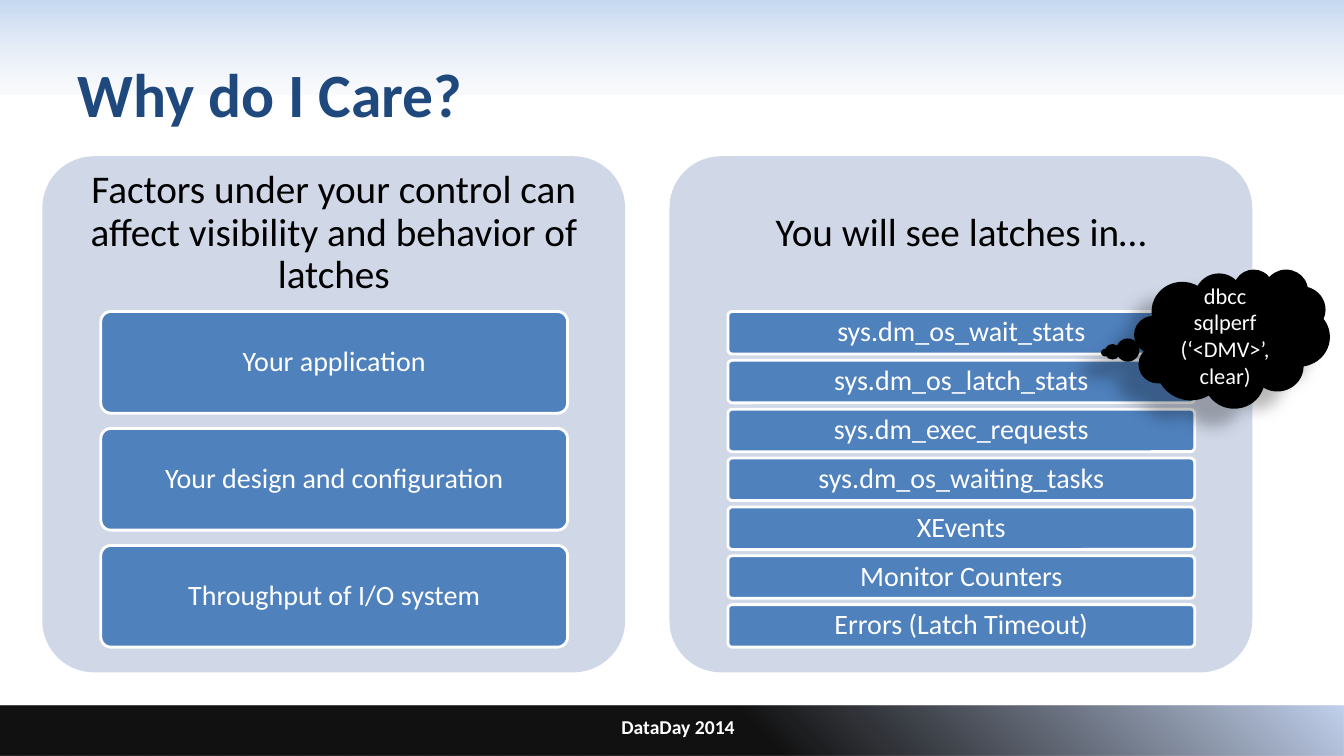
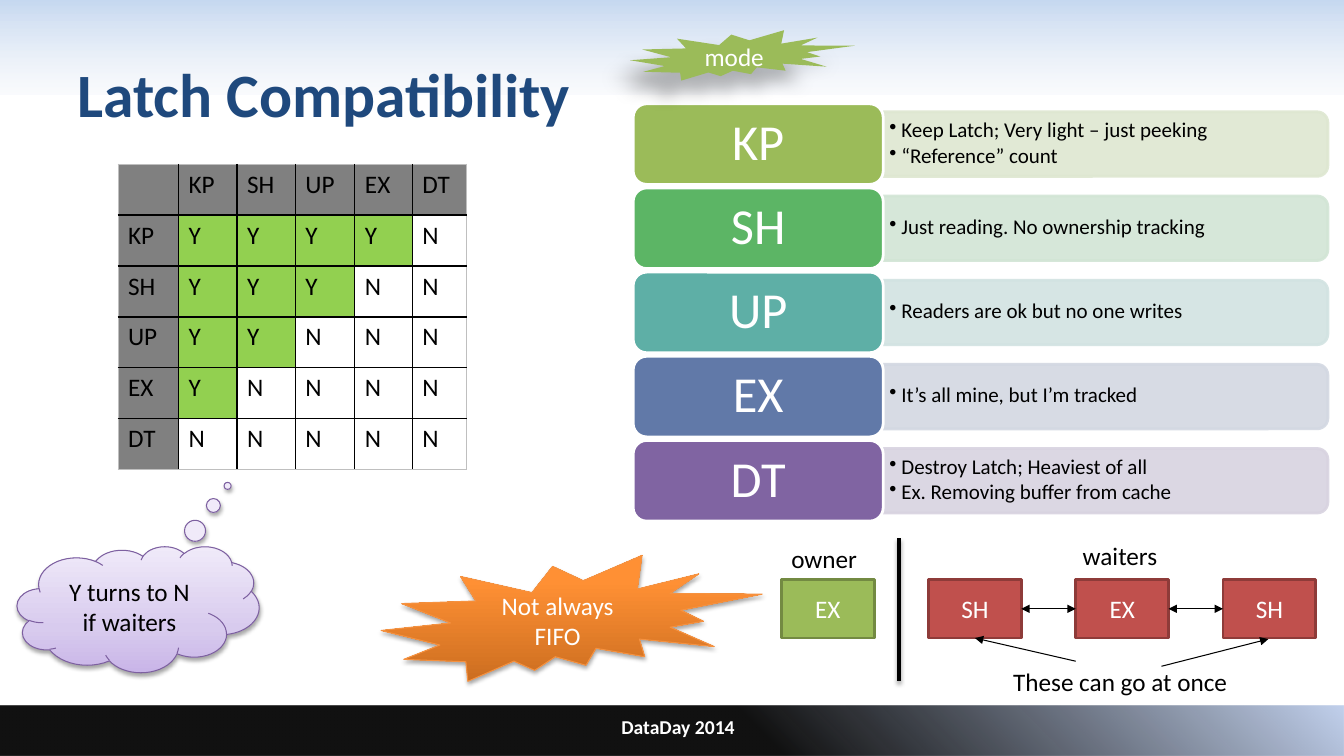
"""Builds two slides on database latches: why they matter and how their modes combine."""
from dataclasses import dataclass

from lxml import etree
from pptx import Presentation
from pptx.dml.color import RGBColor
from pptx.enum.shapes import MSO_CONNECTOR, MSO_SHAPE
from pptx.enum.text import MSO_ANCHOR, PP_ALIGN
from pptx.oxml.ns import qn
from pptx.util import Inches, Pt

RECT, ROUND = MSO_SHAPE.RECTANGLE, MSO_SHAPE.ROUNDED_RECTANGLE
SIDE_ROUND = MSO_SHAPE.ROUND_2_SAME_RECTANGLE
CLOUD, BURST = MSO_SHAPE.CLOUD_CALLOUT, MSO_SHAPE.EXPLOSION2
STRAIGHT = MSO_CONNECTOR.STRAIGHT
LEFT, CENTER = PP_ALIGN.LEFT, PP_ALIGN.CENTER
TOP, MIDDLE = MSO_ANCHOR.TOP, MSO_ANCHOR.MIDDLE


@dataclass(frozen=True)
class Theme:
    """Colours, gradients, shadows and type sizes of the deck."""
    font: str = "Calibri"
    black: str = "000000"
    white: str = "FFFFFF"
    title: str = "1F497D"
    panel: str = "D0D8E8"
    blue: str = "4F81BD"
    green: str = "9BBB59"
    green_edge: str = "738A42"
    red: str = "C0504D"
    red_edge: str = "8E3B39"
    orange_edge: str = "F69240"
    purple_edge: str = "7D60A0"
    table_head: str = "808080"
    table_yes: str = "92D050"
    table_edge: str = "BFBFBF"
    title_size: int = 44
    mode_size: int = 36
    heading_size: int = 28
    item_size: int = 20
    body_size: int = 18
    callout_size: int = 16
    bullet_size: int = 15
    footer_size: int = 14
    top_band: tuple = (90, ((0, "C6D9F1", 100), (100, "E1E8F5", 16)))
    bottom_band: tuple = (315, ((56, "000000", 93), (100, "C2D1ED", 100), (100, "E1E8F5", 16)))
    orange: tuple = (270, ((0, "CC6E20", 100), (80, "FF9034", 100), (100, "FF9136", 100)))
    lilac: tuple = (270, ((0, "C9B5E8", 100), (35, "D8CBEE", 100), (100, "F0EAF9", 100)))
    far_shadow: tuple = (28, 11.8, 19.7, 141)
    near_shadow: tuple = (35, 3.1, 1.8, 90)


THEME = Theme()
FOOTER = "DataDay 2014"

PANELS = [
    (0.42, "Factors under your control can affect visibility and behavior of latches",
     ["Your application", "Your design and configuration", "Throughput of I/O system"]),
    (6.64, "You will see latches in…",
     ["sys.dm_os_wait_stats", "sys.dm_os_latch_stats", "sys.dm_exec_requests",
      "sys.dm_os_waiting_tasks", "XEvents", "Monitor Counters", "Errors (Latch Timeout)"]),
]

MODES = [
    ("KP", "9BBB59", "DEE7D1", ["Keep Latch; Very light – just peeking", "“Reference” count"]),
    ("SH", "5CB565", "D2E5D5", ["Just reading. No ownership tracking"]),
    ("UP", "5EAFA6", "D2E3E2", ["Readers are ok but no one writes"]),
    ("EX", "6179A8", "D3D8E2", ["It’s all mine, but I’m tracked"]),
    ("DT", "8064A2", "D8D3E0", ["Destroy Latch; Heaviest of all", "Ex. Removing buffer from cache"]),
]
COMPATIBLE = ["YYYYN", "YYYNN", "YYNNN", "YNNNN", "NNNNN"]
COLUMN_WIDTHS = [0.6, 0.58, 0.58, 0.59, 0.57, 0.54]

WAITERS = ["SH", "EX", "SH"]
QUEUE_LABELS = [(7.75, 5.34, 0.86, "owner"), (10.64, 5.31, 0.95, "waiters"),
                (9.95, 6.56, 2.35, "These can go at once")]
POINTERS = [((10.67, 6.56), (9.67, 6.33)), ((11.52, 6.61), (12.58, 6.34))]


def rgb(color):
    return RGBColor.from_string(color)


def child(parent, tag, **attributes):
    return etree.SubElement(parent, qn(tag), {key: str(value) for key, value in attributes.items()})


def add_color(parent, color, alpha):
    node = child(parent, "a:srgbClr", val=color)
    if alpha < 100:
        child(node, "a:alpha", val=alpha * 1000)


def set_gradient(shape, gradient):
    angle, stops = gradient
    solid = shape.element.spPr.find(qn("a:solidFill"))
    node = etree.Element(qn("a:gradFill"), rotWithShape="1")
    stop_list = child(node, "a:gsLst")
    for position, color, alpha in stops:
        add_color(child(stop_list, "a:gs", pos=position * 1000), color, alpha)
    child(node, "a:lin", ang=angle * 60000, scaled=0)
    solid.getparent().replace(solid, node)


def set_shadow(effects, shadow):
    alpha, blur, distance, angle = shadow
    node = child(effects, "a:outerShdw", blurRad=Pt(blur), dist=Pt(distance),
                 dir=angle * 60000, algn="ctr", rotWithShape=0)
    add_color(node, THEME.black, alpha)


def write(frame, lines, size, color=THEME.black, bold=False, align=CENTER, anchor=MIDDLE,
          inset=(0.1, 0.05), wrap=True, spacing=None, bullets=False):
    frame.word_wrap = wrap
    frame.vertical_anchor = anchor
    frame.margin_left = frame.margin_right = Inches(inset[0])
    frame.margin_top = frame.margin_bottom = Inches(inset[1])
    for index, line in enumerate(lines):
        para = frame.add_paragraph() if index else frame.paragraphs[0]
        para.alignment = align
        if spacing:
            para.line_spacing = spacing
        if bullets:
            para.space_after = Pt(2)
            properties = para._p.get_or_add_pPr()
            properties.set("marL", str(Inches(0.12)))
            properties.set("indent", str(-Inches(0.12)))
            child(properties, "a:buChar", char="•")
        span = para.add_run()
        span.text = line
        span.font.name = THEME.font
        span.font.size = Pt(size)
        span.font.bold = bold
        span.font.color.rgb = rgb(color)


def add_text(page, at, lines, size, **style):
    box = page.shapes.add_textbox(*map(Inches, at))
    write(box.text_frame, lines, size, **style)


def add_box(page, kind, at, fill, line=None, width=2, adjust=(), shadow=None, alpha=100):
    box = page.shapes.add_shape(kind, *map(Inches, at))
    for index, value in enumerate(adjust):
        box.adjustments[index] = value
    box.fill.solid()
    if isinstance(fill, tuple):
        set_gradient(box, fill)
    else:
        box.fill.fore_color.rgb = rgb(fill)
    if line:
        box.line.color.rgb = rgb(line)
        box.line.width = Pt(width)
    else:
        box.line.fill.background()
    if alpha < 100:
        for node in box.element.spPr.iter(qn("a:srgbClr")):
            child(node, "a:alpha", val=alpha * 1000)
    box.shadow.inherit = False
    if shadow:
        set_shadow(box.element.spPr.find(qn("a:effectLst")), shadow)
    return box


def add_line(page, start, end, width=0.75, ends=(), shadow=None):
    line = page.shapes.add_connector(STRAIGHT, *map(Inches, start + end))
    line.line.color.rgb = rgb(THEME.black)
    line.line.width = Pt(width)
    properties = line.element.spPr
    for tag in ends:
        child(properties.find(qn("a:ln")), tag, type="triangle")
    effects = child(properties, "a:effectLst")
    if shadow:
        set_shadow(effects, shadow)


def start_page(deck, title):
    page = deck.slides.add_slide(deck.slide_layouts[6])
    add_box(page, RECT, (0, 0, 13.33, 0.94), THEME.top_band)
    add_box(page, RECT, (0, 7, 13.33, 0.5), THEME.bottom_band)
    add_text(page, (0.67, 0.3, 12, 1.25), [title], THEME.title_size,
             color=THEME.title, bold=True, align=LEFT)
    add_text(page, (3.78, 7, 5.89, 0.42), [FOOTER], THEME.footer_size,
             color=THEME.white, bold=True)
    return page


def add_panel(page, left, heading, items):
    add_box(page, ROUND, (left, 1.55, 5.78, 5.12), THEME.panel, adjust=[0.1])
    add_text(page, (left, 1.55, 5.78, 1.53), [heading], THEME.heading_size,
             inset=(0.12, 0.12), spacing=0.9)
    gap_share = 0.15
    height = 3.33 / (len(items) + gap_share * (len(items) - 1))
    for index, item in enumerate(items):
        top = 3.09 + index * height * (1 + gap_share)
        box = add_box(page, ROUND, (left + 0.58, top, 4.63, height), THEME.blue,
                      THEME.white, adjust=[0.1])
        write(box.text_frame, [item], THEME.item_size, THEME.white, inset=(0.06, 0.04), spacing=0.9)


def set_borders(cell, row, column, last):
    properties = cell._tc.get_or_add_tcPr()
    outer = [column == 0, column == last, row == 0, row == last]
    for index, (side, is_outer) in enumerate(zip("LRTB", outer)):
        header_rule = (row, side) in ((0, "B"), (1, "T"))
        width = 0.5 if is_outer else 1.5 if header_rule else 1
        border = etree.Element(qn(f"a:ln{side}"), w=str(Pt(width)))
        add_color(child(border, "a:solidFill"), THEME.table_edge if is_outer else THEME.black, 100)
        properties.insert(index, border)


def add_matrix(page):
    names = [name for name, *_ in MODES]
    rows = [["", *names]] + [[name, *marks] for name, marks in zip(names, COMPATIBLE)]
    table = page.shapes.add_table(len(rows), len(rows), Inches(1.17), Inches(1.63),
                                  Inches(sum(COLUMN_WIDTHS)), Inches(3.03)).table
    table.first_row = table.horz_banding = False
    for column, width in zip(table.columns, COLUMN_WIDTHS):
        column.width = Inches(width)
    fills = {"Y": THEME.table_yes, "N": THEME.white}
    for row, values in enumerate(rows):
        for column, value in enumerate(values):
            cell = table.cell(row, column)
            cell.fill.solid()
            cell.fill.fore_color.rgb = rgb(fills.get(value, THEME.table_head))
            if value:
                write(cell.text_frame, [value], THEME.body_size, align=LEFT, anchor=TOP)
            set_borders(cell, row, column, len(rows) - 1)


def add_modes(page):
    pitch = (4.37 - 1.03) / (len(MODES) - 1)
    long_side, short_side = 4.41, 0.64
    for index, (name, color, tint, notes) in enumerate(MODES):
        top = 1.03 + index * pitch
        middle = top + 0.4
        bar = add_box(page, SIDE_ROUND,
                      (8.76 + (long_side - short_side) / 2, middle - long_side / 2,
                       short_side, long_side), tint, tint, alpha=90)
        bar.rotation = 90
        add_text(page, (8.76, middle - 0.29, 4.38, 0.57), notes, THEME.bullet_size,
                 align=LEFT, inset=(0.06, 0.03), spacing=0.9, bullets=True)
        tile = add_box(page, ROUND, (6.28, top, 2.48, 0.8), color, THEME.white)
        write(tile.text_frame, [name], THEME.mode_size, THEME.white, inset=(0.15, 0.07), spacing=0.9)


def add_queue(page):
    top, width, height, pitch = 5.75, 0.92, 0.58, 1.46
    lefts = [9.21 + index * pitch for index in range(len(WAITERS))]
    seats = [(7.75, "EX", THEME.green, THEME.green_edge)]
    seats += [(left, name, THEME.red, THEME.red_edge) for left, name in zip(lefts, WAITERS)]
    for left, name, fill, edge in seats:
        seat = add_box(page, RECT, (left, top, width, height), fill, edge)
        write(seat.text_frame, [name], THEME.body_size, THEME.white)
    add_line(page, (8.92, 5.34), (8.92, 6.76), 3, shadow=THEME.near_shadow)
    for left, following in zip(lefts, lefts[1:]):
        add_line(page, (left + width, top + height / 2), (following, top + height / 2),
                 ends=["a:headEnd", "a:tailEnd"])
    for left, label_top, label_width, label in QUEUE_LABELS:
        add_text(page, (left, label_top, label_width, 0.4), [label], THEME.body_size,
                 align=LEFT, anchor=TOP, wrap=False)
    for start, end in POINTERS:
        add_line(page, start, end, ends=["a:tailEnd"])


def add_reasons_page(deck):
    page = start_page(deck, "Why do I Care?")
    for panel in PANELS:
        add_panel(page, *panel)
    tip = add_box(page, CLOUD, (11.25, 2.67, 1.94, 1.38), THEME.black,
                  adjust=[-0.65, 0.1], shadow=THEME.far_shadow)
    write(tip.text_frame, ["dbcc sqlperf (‘<DMV>’, clear)"], THEME.callout_size, THEME.white)


def add_compatibility_page(deck):
    page = start_page(deck, "Latch Compatibility")
    add_matrix(page)
    add_modes(page)
    order = add_box(page, BURST, (3.78, 5.51, 3.78, 1.25), THEME.orange,
                    THEME.orange_edge, 0.75, shadow=THEME.near_shadow)
    write(order.text_frame, ["Not always FIFO"], THEME.body_size, THEME.white)
    caveat = add_box(page, CLOUD, (0.17, 5.42, 2.4, 1.25), THEME.lilac, THEME.purple_edge,
                     0.75, adjust=[0.37, -0.98], shadow=THEME.near_shadow)
    write(caveat.text_frame, ["Y turns to N if waiters"], THEME.body_size)
    mode = add_box(page, BURST, (6.25, 0.3, 2.23, 0.5), THEME.green, shadow=THEME.far_shadow)
    write(mode.text_frame, ["mode"], THEME.body_size, THEME.white)
    add_queue(page)


def main():
    deck = Presentation()
    deck.slide_width, deck.slide_height = Inches(13.33), Inches(7.5)
    add_reasons_page(deck)
    add_compatibility_page(deck)
    deck.save("out.pptx")


if __name__ == "__main__":
    main()
